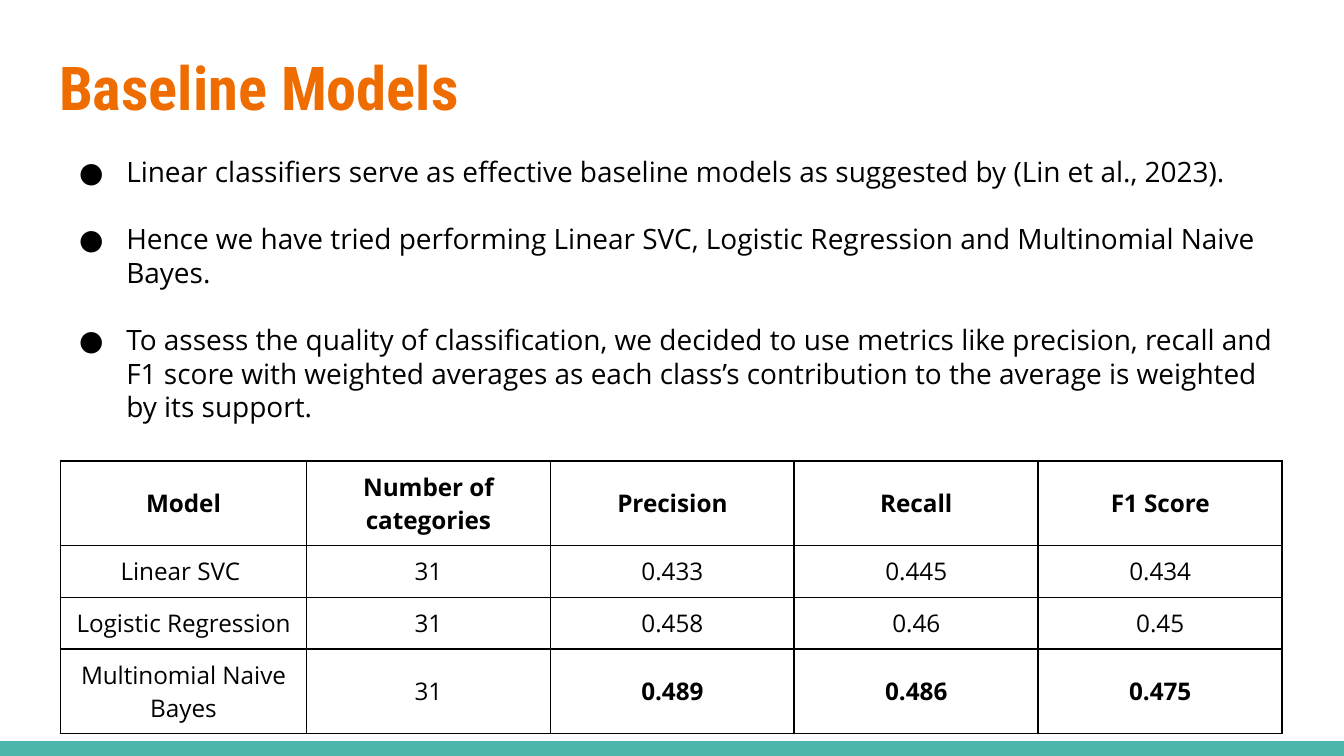
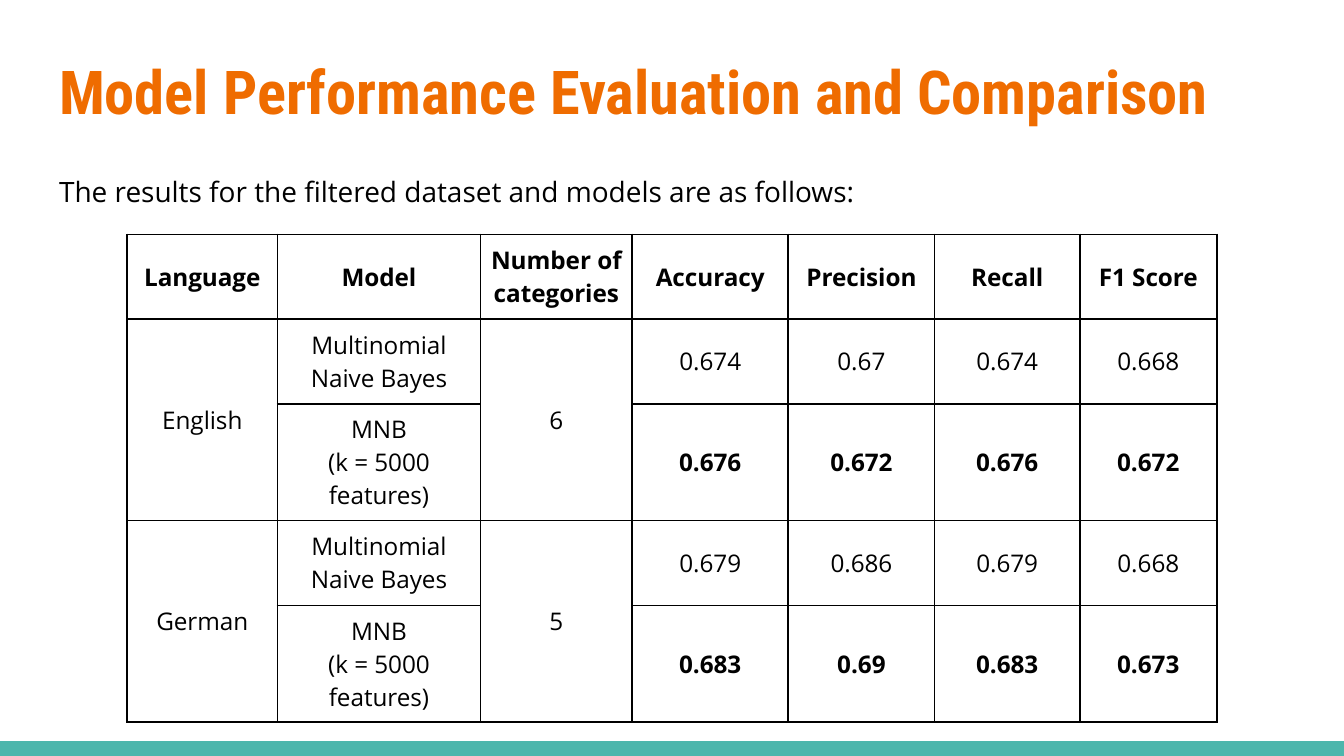
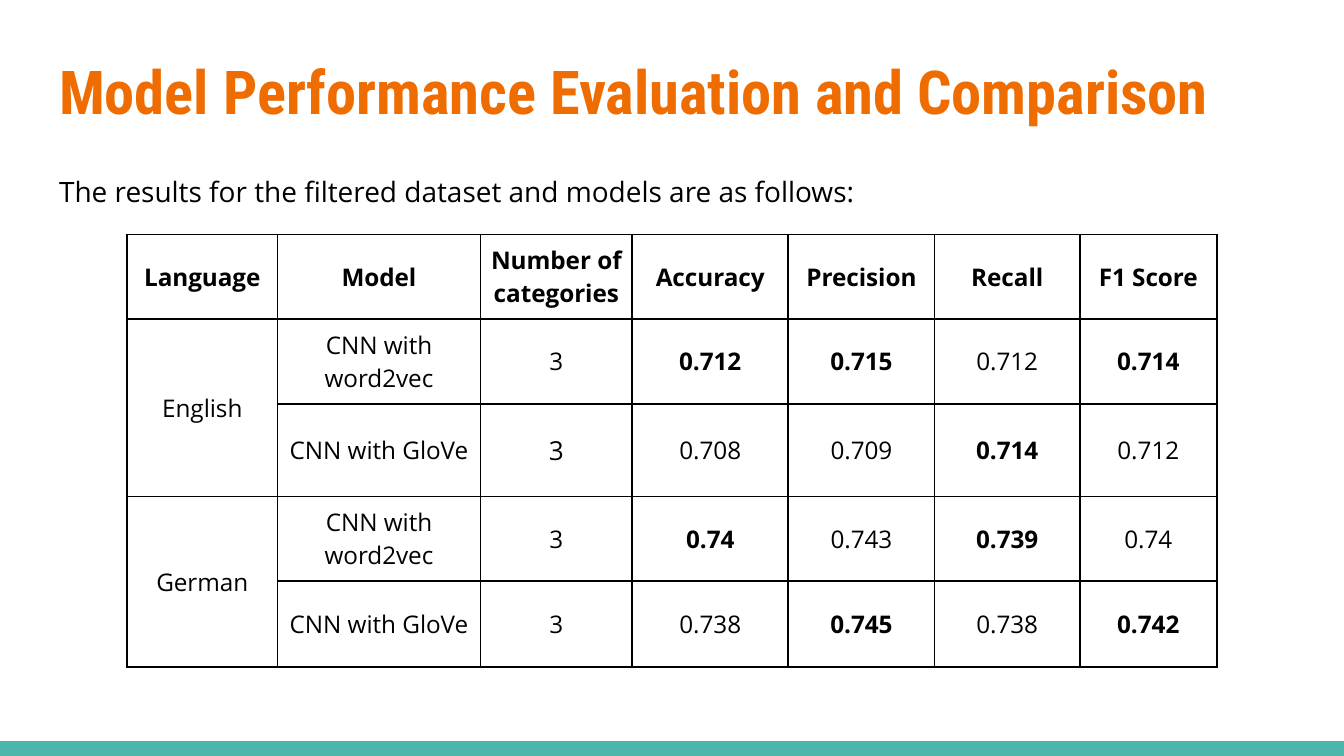
from dataclasses import dataclass

from lxml import etree
from pptx import Presentation
from pptx.dml.color import RGBColor
from pptx.enum.shapes import MSO_SHAPE
from pptx.enum.text import MSO_ANCHOR, PP_ALIGN
from pptx.oxml.ns import qn
from pptx.util import Inches, Pt

RECTANGLE = MSO_SHAPE.RECTANGLE
MIDDLE = MSO_ANCHOR.MIDDLE
LEFT, CENTER = PP_ALIGN.LEFT, PP_ALIGN.CENTER


@dataclass(frozen=True)
class Theme:
    """Colours, fonts, type sizes and spacing of the deck."""
    accent: str = "EF6C00"
    band: str = "4DB6AC"
    ink: str = "000000"
    title_font: str = "Roboto Condensed"
    body_font: str = "Open Sans"
    title_size: float = 32.4
    body_size: float = 15
    cell_size: float = 13
    large_cell_size: float = 14
    bullet_gap: float = 18
    border: float = 1


def grid(units):
    """Return the length of a number of grid columns or rows, 0.1 inch each."""
    return Inches(units / 10)


class DeckBuilder:
    """Holds the theme and the current slide, and draws each kind of element."""

    columns, rows = 100, 56.25
    margin, content_width = 3.41, 93.2

    def __init__(self, theme):
        """Start an empty deck in the given theme."""
        self.theme = theme
        self.deck = Presentation()
        self.deck.slide_width = grid(self.columns)
        self.deck.slide_height = grid(self.rows)
        self.slide = None

    def page(self, title, title_top):
        """Add a slide with its bottom band and title."""
        self.slide = self.deck.slides.add_slide(self.deck.slide_layouts[6])
        self.band()
        frame = self.text_box(title_top, 7.7)
        frame.text = title
        self.style(frame.paragraphs[0], self.theme.title_font, self.theme.title_size,
                   self.theme.accent, bold=True)

    def band(self):
        """Draw the coloured band along the bottom edge."""
        height = 1.1
        band = self.slide.shapes.add_shape(
            RECTANGLE, 0, grid(self.rows - height), grid(self.columns), grid(height))
        band.shadow.inherit = False
        band.fill.solid()
        band.fill.fore_color.rgb = RGBColor.from_string(self.theme.band)
        band.line.fill.background()

    def text_box(self, top, height):
        """Add a wrapping text box across the content width."""
        box = self.slide.shapes.add_textbox(
            grid(self.margin), grid(top), grid(self.content_width), grid(height))
        frame = box.text_frame
        frame.word_wrap = True
        frame.margin_left = frame.margin_right = grid(1)
        frame.margin_top = frame.margin_bottom = grid(1)
        return frame

    def style(self, para, font, size, color, bold=False, align=LEFT):
        """Set the font and alignment of a paragraph."""
        para.alignment = align
        para.font.name = font
        para.font.size = Pt(size)
        para.font.bold = bold
        para.font.color.rgb = RGBColor.from_string(color)

    def body(self, lines, top, height, bulleted=False):
        """Add body text, one paragraph a line."""
        frame = self.text_box(top, height)
        frame.text = "\n".join(lines)
        for index, para in enumerate(frame.paragraphs):
            if bulleted:
                self.bullet(para)
            if index:
                para.space_before = Pt(self.theme.bullet_gap)
            self.style(para, self.theme.body_font, self.theme.body_size, self.theme.ink)

    def bullet(self, para):
        """Give a paragraph a hanging round bullet."""
        properties = para._p.get_or_add_pPr()
        properties.set("marL", str(grid(5)))
        properties.set("indent", str(-grid(3.5)))
        color = etree.SubElement(properties, qn("a:buClr"))
        etree.SubElement(color, qn("a:srgbClr"), val=self.theme.ink)
        etree.SubElement(properties, qn("a:buSzPts"), val=str(self.theme.body_size * 100))
        etree.SubElement(properties, qn("a:buFont"), typeface=self.theme.body_font)
        etree.SubElement(properties, qn("a:buChar"), char="●")

    def table(self, left, top, widths, heights, records):
        """Add a bordered table; None joins the cell above and * marks bold."""
        table = self.slide.shapes.add_table(
            len(heights), len(widths), grid(left), grid(top),
            grid(sum(widths)), grid(sum(heights))).table
        table.first_row = table.horz_banding = False
        for column, width in zip(table.columns, widths):
            column.width = grid(width)
        for row, height in zip(table.rows, heights):
            row.height = grid(height)
        for row_index, record in enumerate(records):
            for column_index, text in enumerate(record):
                cell = table.cell(row_index, column_index)
                self.cell(cell, text or "", bold=row_index == 0)
                if text is None:
                    table.cell(row_index - 1, column_index).merge(cell)
        return table

    def cell(self, cell, text, bold):
        """Fill one table cell and draw its borders."""
        cell.text = text.removeprefix("*")
        cell.vertical_anchor = MIDDLE
        cell.margin_left = cell.margin_right = grid(0.7)
        cell.margin_top = cell.margin_bottom = grid(0.7)
        for para in cell.text_frame.paragraphs:
            self.style(para, self.theme.body_font, self.theme.cell_size, self.theme.ink,
                       bold or text.startswith("*"), CENTER)
        properties = cell._tc.get_or_add_tcPr()
        for side in ("lnL", "lnR", "lnT", "lnB"):
            line = etree.SubElement(properties, qn(f"a:{side}"), w=str(Pt(self.theme.border)))
            fill = etree.SubElement(line, qn("a:solidFill"))
            etree.SubElement(fill, qn("a:srgbClr"), val=self.theme.ink)
        cell.fill.background()

    def results_page(self, heights, records):
        """Add a slide comparing models by language, and return its table."""
        self.page("Model Performance Evaluation and Comparison", 3)
        self.body(["The results for the filtered dataset and models are as follows:"], 12, 41.6)
        header = ("Language", "Model", "Number of categories", "Accuracy",
                  "Precision", "Recall", "F1 Score")
        return self.table(9.45, 17.45, (11.2, 15.1, 11.3, 11.6, 10.9, 10.8, 10.2),
                          heights, [header, *records])


def main():
    """Build and save the deck."""
    theme = Theme()
    builder = DeckBuilder(theme)

    builder.page("Baseline Models", 2.7)
    builder.body([
        "Linear classifiers serve as effective baseline models as suggested by "
        "(Lin et al., 2023).",
        "Hence we have tried performing Linear SVC, Logistic Regression and "
        "Multinomial Naive Bayes.",
        "To assess the quality of classification, we decided to use metrics like "
        "precision, recall and F1 score with weighted averages as each class’s "
        "contribution to the average is weighted by its support.",
    ], 10.5, 39.5, bulleted=True)
    builder.table(4.5, 34.3, (18.3,) + (18.15,) * 4, (6.3, 3.85, 3.85, 6.3), [
        ("Model", "Number of categories", "Precision", "Recall", "F1 Score"),
        ("Linear SVC ", "31", "0.433", "0.445", "0.434"),
        ("Logistic Regression", "31", "0.458", "0.46", "0.45"),
        ("Multinomial Naive Bayes", "31", "*0.489", "*0.486", "*0.475"),
    ])

    bayes, selected = "Multinomial Naive Bayes", "MNB\n(k = 5000 features)"
    builder.results_page((6.3, 6.3, 8.7, 6.3, 8.7), [
        ("English", bayes, "6", "0.674", "0.67", "0.674", "0.668"),
        (None, selected, None, "*0.676", "*0.672", "*0.676", "*0.672"),
        ("German", bayes, "5", "0.679", "0.686", "0.679", "0.668"),
        (None, selected, None, "*0.683", "*0.69", "*0.683", "*0.673"),
    ])

    word2vec, glove = "CNN with word2vec", "CNN with GloVe"
    networks = builder.results_page((6.3, 6.3, 6.9, 6.3, 6.4), [
        ("English", word2vec, "3", "*0.712", "*0.715", "0.712", "*0.714"),
        (None, glove, "3", "0.708", "0.709", "*0.714", "0.712"),
        ("German", word2vec, "3", "*0.74", "0.743", "*0.739", "0.74"),
        (None, glove, "3", "0.738", "*0.745", "0.738", "*0.742"),
    ])
    networks.cell(2, 2).text_frame.paragraphs[0].font.size = Pt(theme.large_cell_size)

    builder.deck.save("out.pptx")


if __name__ == "__main__":
    main()
